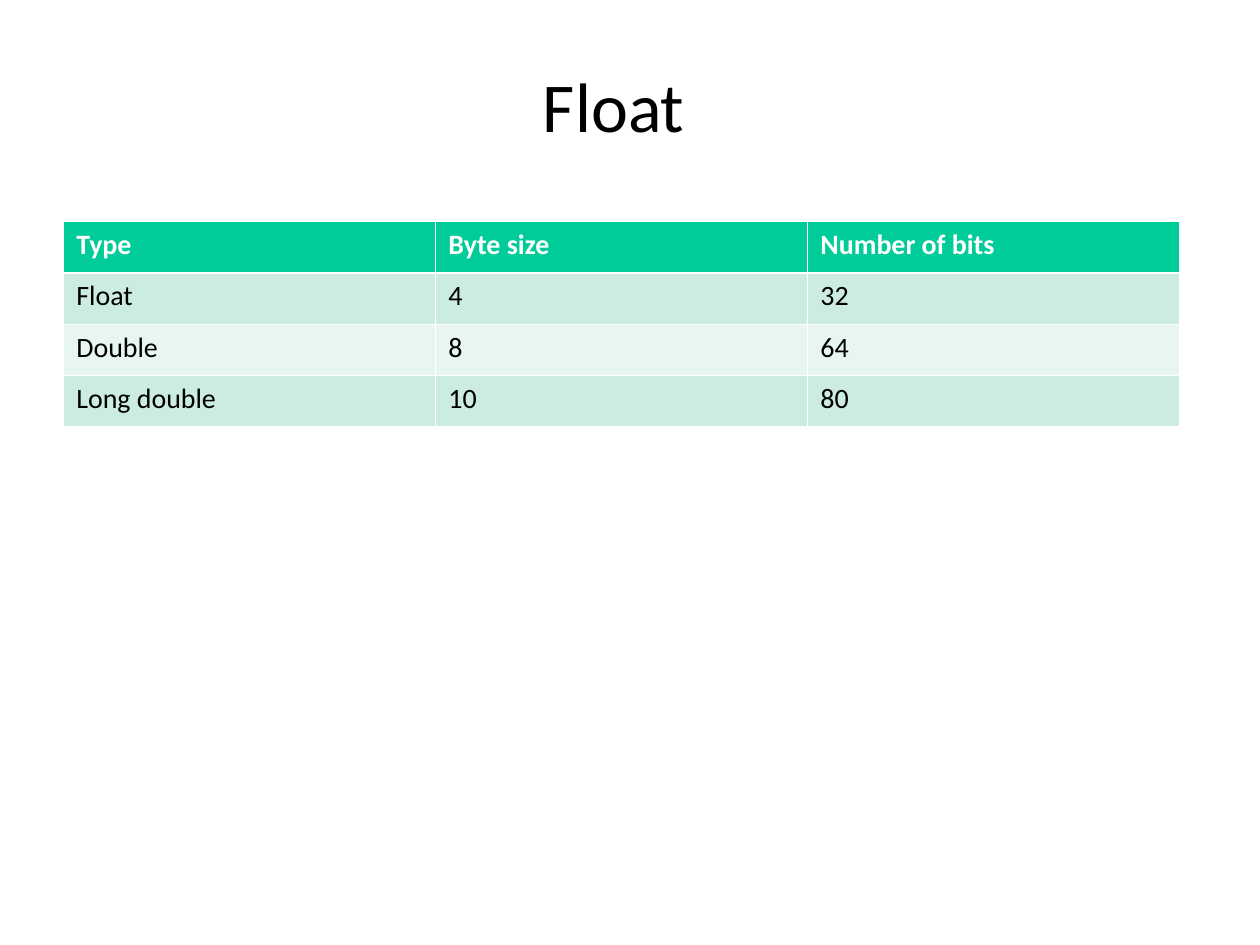
"""Build a slide with a table of floating-point types and their sizes."""
from dataclasses import dataclass

from lxml import etree
from pptx import Presentation
from pptx.dml.color import RGBColor
from pptx.enum.text import MSO_ANCHOR, MSO_AUTO_SIZE, PP_ALIGN
from pptx.oxml.ns import qn
from pptx.util import Cm, Pt

CENTER, LEFT = PP_ALIGN.CENTER, PP_ALIGN.LEFT
MIDDLE, TOP = MSO_ANCHOR.MIDDLE, MSO_ANCHOR.TOP
NO_AUTOFIT = MSO_AUTO_SIZE.NONE
TITLE_ONLY = 5


@dataclass(frozen=True)
class Theme:
    font: str = "Calibri"
    title_size: float = 40
    table_size: float = 16
    ink: str = "000000"
    white: str = "FFFFFF"
    header: str = "00CC99"
    bands: tuple[str, str] = ("CBECDE", "E7F6EF")
    thin: float = 0.45
    thick: float = 1.47


@dataclass(frozen=True)
class FloatType:
    name: str
    byte_size: int
    bits: int

    def labels(self) -> tuple[str, ...]:
        return self.name, str(self.byte_size), str(self.bits)


THEME = Theme()
HEADINGS = ("Type", "Byte size", "Number of bits")
FLOAT_TYPES = (
    FloatType("Float", 4, 32),
    FloatType("Double", 8, 64),
    FloatType("Long double", 10, 80),
)
CONTENT_LEFT, CONTENT_WIDTH = Cm(1.28), Cm(22.5)


def write_text(frame, text: str, *, size: float, color: str, bold: bool = False,
               align=LEFT, spacing: float = 1.0) -> None:
    para = frame.paragraphs[0]
    para.alignment = align
    para.line_spacing = spacing
    span = para.add_run()
    span.text = text
    span.font.name = THEME.font
    span.font.size = Pt(size)
    span.font.bold = bold
    span.font.color.rgb = RGBColor.from_string(color)


def add_border(cell, side: str, width: float) -> None:
    properties = cell._tc.get_or_add_tcPr()
    line = etree.SubElement(properties, qn(f"a:ln{side}"), w=str(Pt(width)))
    fill = etree.SubElement(line, qn("a:solidFill"))
    etree.SubElement(fill, qn("a:srgbClr"), val=THEME.white)


def format_cell(cell, row: int) -> None:
    cell.margin_left = cell.margin_right = Cm(0.26)
    cell.margin_top = cell.margin_bottom = Cm(0.13)
    cell.vertical_anchor = TOP
    thick_side = {0: "B", 1: "T"}.get(row)
    for side in "LRTB":
        add_border(cell, side, THEME.thick if side == thick_side else THEME.thin)
    color = THEME.bands[(row - 1) % 2] if row else THEME.header
    cell.fill.solid()
    cell.fill.fore_color.rgb = RGBColor.from_string(color)


def add_title(page, text: str) -> None:
    box = page.shapes.title
    box.left, box.top, box.width, box.height = CONTENT_LEFT, Cm(0.76), CONTENT_WIDTH, Cm(2.84)
    frame = box.text_frame
    frame.auto_size = NO_AUTOFIT
    frame.word_wrap = True
    frame.vertical_anchor = MIDDLE
    write_text(frame, text, size=THEME.title_size, color=THEME.ink,
               align=CENTER, spacing=0.97)


def add_type_table(page) -> None:
    rows = [HEADINGS, *(item.labels() for item in FLOAT_TYPES)]
    table = page.shapes.add_table(len(rows), len(HEADINGS), CONTENT_LEFT, Cm(4.47),
                                  CONTENT_WIDTH, Cm(4.12)).table
    for row, labels in enumerate(rows):
        for column, label in enumerate(labels):
            cell = table.cell(row, column)
            format_cell(cell, row)
            write_text(cell.text_frame, label, size=THEME.table_size,
                       color=THEME.ink if row else THEME.white, bold=row == 0)


def main() -> None:
    deck = Presentation()
    deck.slide_width, deck.slide_height = Cm(25.4), Cm(19.05)
    page = deck.slides.add_slide(deck.slide_layouts[TITLE_ONLY])
    add_title(page, "Float ")
    add_type_table(page)
    deck.save("out.pptx")


if __name__ == "__main__":
    main()
